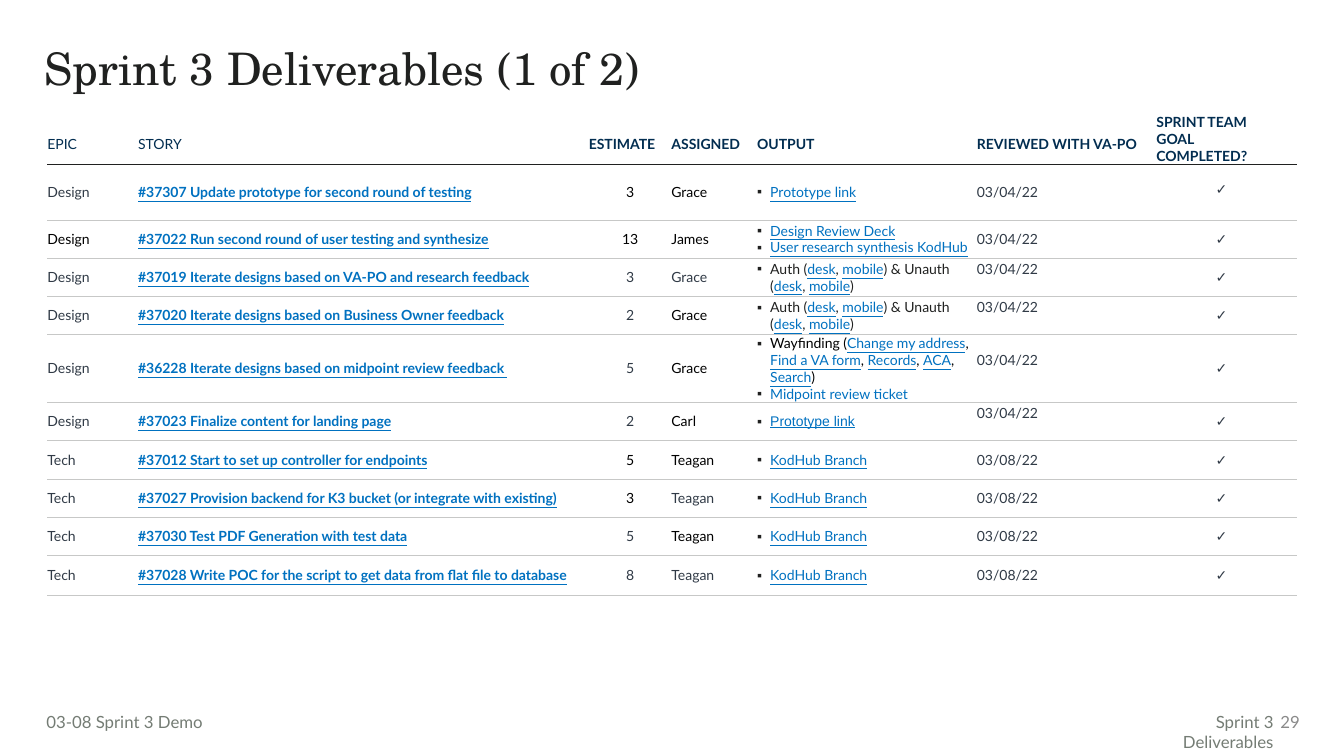
"""Build the slide that lists the sprint deliverables."""
from dataclasses import dataclass

from lxml.etree import SubElement
from pptx import Presentation
from pptx.dml.color import RGBColor
from pptx.enum.text import MSO_ANCHOR as Anchor, MSO_AUTO_SIZE as AutoSize, PP_ALIGN as Align
from pptx.oxml import parse_xml
from pptx.oxml.ns import nsdecls, qn
from pptx.util import Inches, Pt

INK = RGBColor(0x20, 0x21, 0x20)
NAVY = RGBColor(0x02, 0x2D, 0x50)
SLATE = RGBColor(0x30, 0x3A, 0x46)
BLACK = RGBColor(0x00, 0x00, 0x00)
LINK_BLUE = RGBColor(0x00, 0x71, 0xC0)
RULE_GRAY = RGBColor(0xC7, 0xC8, 0xC7)
FOOTER_GRAY = RGBColor(0x74, 0x7C, 0x74)
NUMBER_GRAY = RGBColor(0x8A, 0x8A, 0x8A)

TITLE_FONT = "TeX Gyre Schola"
BODY_FONT = "Lato"
NO_GRID_STYLE = "{2D5ABB26-0587-4C30-8999-92F81FD0307C}"

HEADERS = ["EPIC", "STORY", "ESTIMATE", "ASSIGNED", "OUTPUT", "REVIEWED WITH VA-PO",
           "SPRINT TEAM GOAL COMPLETED?"]
COLUMN_WIDTHS = [0.9, 4.47, 0.82, 0.85, 2.18, 1.68, 1.49]
HEADER_HEIGHT = 0.49
DESIGN_LINKS = "Auth ([desk], [mobile]) & Unauth ([desk], [mobile])"
WAYFINDING_LINKS = "Wayfinding ([Change my address], [Find a VA form], [Records], [ACA], [Search])"


@dataclass
class Story:
    """One table row; square brackets in outputs mark links."""
    epic: str
    title: str
    estimate: str
    assigned: str
    outputs: list
    reviewed: str
    black: tuple = ()
    height: float = 0.38
    date_lift: float = 0
    tick_lift: float = 0
    output_font: str = BODY_FONT


STORIES = [
    Story("Design", "#37307 Update prototype for second round of testing", "3", "Grace",
          ["[Prototype link]"], "03/04/22", ("estimate", "assigned"), height=0.55, tick_lift=0.06),
    Story("Design", "#37022 Run second round of user testing and synthesize", "13", "James",
          ["[Design Review Deck]", "[User research synthesis KodHub]"], "03/04/22",
          ("epic", "estimate", "assigned")),
    Story("Design", "#37019 Iterate designs based on VA-PO and research feedback", "3", "Grace",
          [DESIGN_LINKS], "03/04/22", date_lift=0.17),
    Story("Design", "#37020 Iterate designs based on Business Owner feedback", "2", "Grace",
          [DESIGN_LINKS], "03/04/22", ("assigned",), date_lift=0.17),
    Story("Design", "#36228 Iterate designs based on midpoint review feedback ", "5", "Grace",
          [WAYFINDING_LINKS, "[Midpoint review ticket]"], "03/04/22", ("assigned", "output"),
          height=0.67, date_lift=0.17),
    Story("Design", "#37023 Finalize content for landing page", "2", "Carl",
          ["[Prototype link]"], "03/04/22", ("assigned",), date_lift=0.17, output_font="Arial"),
    Story("Tech", "#37012 Start to set up controller for endpoints", "5", "Teagan",
          ["[KodHub Branch]"], "03/08/22", ("estimate", "assigned")),
    Story("Tech", "#37027 Provision backend for K3 bucket (or integrate with existing)", "3",
          "Teagan", ["[KodHub Branch]"], "03/08/22", ("estimate",)),
    Story("Tech", "#37030 Test PDF Generation with test data", "5", "Teagan",
          ["[KodHub Branch]"], "03/08/22", ("assigned",)),
    Story("Tech", "#37028 Write POC for the script to get data from flat file to database", "8",
          "Teagan", ["[KodHub Branch]"], "03/08/22", height=0.4),
]


def format_run(run, color, size=10, bold=False, underline=False, font=BODY_FONT):
    """Set the font of one run."""
    run.font.name = font
    run.font.size = Pt(size)
    run.font.bold = bold
    run.font.underline = underline
    run.font.color.rgb = color


def set_margins(target, left=0, top=0, right=0, bottom=0):
    """Set the inner margins of a cell or text frame in inches."""
    target.margin_left, target.margin_top = Inches(left), Inches(top)
    target.margin_right, target.margin_bottom = Inches(right), Inches(bottom)


def add_title(slide, text):
    """Fill and place the title placeholder."""
    title = slide.shapes.title
    title.left, title.top = Inches(0.34), Inches(0.41)
    title.width, title.height = Inches(12.42), Inches(0.82)
    frame = title.text_frame
    frame.text = text
    frame.auto_size = AutoSize.NONE
    frame.vertical_anchor = Anchor.TOP
    paragraph = frame.paragraphs[0]
    paragraph.alignment = Align.LEFT
    paragraph.line_spacing = 0.9
    format_run(paragraph.runs[0], INK, size=32, font=TITLE_FONT)


def add_footer(slide, text, left, top, width, height, color=FOOTER_GRAY,
               align=Align.RIGHT, anchor=Anchor.TOP, inset=0.1):
    """Add one text box of the footer."""
    box = slide.shapes.add_textbox(Inches(left), Inches(top), Inches(width), Inches(height))
    frame = box.text_frame
    frame.word_wrap = True
    frame.vertical_anchor = anchor
    set_margins(frame, inset, 0.05, 0.1, 0.05)
    frame.text = text
    frame.paragraphs[0].alignment = align
    format_run(frame.paragraphs[0].runs[0], color, size=12)


def add_rule(cell, side, color, width):
    """Draw one horizontal border of a cell."""
    rule = parse_xml(
        f'<a:{side} {nsdecls("a")} w="{Pt(width)}"><a:solidFill><a:srgbClr val="{color}"/>'
        f'</a:solidFill></a:{side}>')
    cell._tc.get_or_add_tcPr().insert(0, rule)


def fill_cell(cell, text, color, align=Align.LEFT, **font):
    """Write one line of text in a cell."""
    cell.text = text
    paragraph = cell.text_frame.paragraphs[0]
    paragraph.alignment = align
    format_run(paragraph.runs[0], color, **font)


def add_bullet(paragraph):
    """Give a paragraph a small square bullet with a hanging indent."""
    properties = paragraph._p.get_or_add_pPr()
    properties.set("marL", str(Inches(0.13)))
    properties.set("indent", str(-Inches(0.13)))
    bullet_color = SubElement(properties, qn("a:buClr"))
    SubElement(bullet_color, qn("a:srgbClr"), val=str(INK))
    SubElement(properties, qn("a:buFont"), typeface="Arial")
    SubElement(properties, qn("a:buChar"), char="▪")


def fill_outputs(cell, outputs, color, font):
    """Write the bulleted outputs, with the bracketed parts as links."""
    frame = cell.text_frame
    for index, output in enumerate(outputs):
        paragraph = frame.add_paragraph() if index else frame.paragraphs[0]
        add_bullet(paragraph)
        for position, part in enumerate(output.replace("]", "[").split("[")):
            if part:
                is_link = position % 2 == 1
                run = paragraph.add_run()
                run.text = part
                format_run(run, LINK_BLUE if is_link else color, underline=is_link, font=font)


def fill_header(cells):
    """Write the header row."""
    for index, (cell, header) in enumerate(zip(cells, HEADERS)):
        fill_cell(cell, header, NAVY, bold=index > 1)
        set_margins(cell, top=0.1)
        add_rule(cell, "lnB", INK, 1)
    set_margins(cells[-1], left=0.1, right=0.3)
    cells[-1].vertical_anchor = Anchor.TOP


def fill_story(cells, story, is_first):
    """Write one story row."""
    for cell in cells:
        set_margins(cell)
        add_rule(cell, "lnB", RULE_GRAY, 0.5)
        if is_first:
            add_rule(cell, "lnT", INK, 1)
    epic, title, estimate, assigned, output, reviewed, completed = cells
    shades = {name: BLACK if name in story.black else SLATE
              for name in ("epic", "estimate", "assigned")}
    fill_cell(epic, story.epic, shades["epic"])
    fill_cell(title, story.title, LINK_BLUE, bold=True, underline=True)
    fill_cell(estimate, story.estimate, shades["estimate"], Align.CENTER)
    fill_cell(assigned, story.assigned, shades["assigned"])
    fill_outputs(output, story.outputs, BLACK if "output" in story.black else INK,
                 story.output_font)
    fill_cell(reviewed, story.reviewed, SLATE)
    fill_cell(completed, "✓", SLATE, Align.CENTER)
    set_margins(reviewed, bottom=story.date_lift)
    set_margins(completed, bottom=story.tick_lift)


def add_deliverables(slide):
    """Add the table of stories."""
    heights = [HEADER_HEIGHT] + [story.height for story in STORIES]
    table = slide.shapes.add_table(
        len(heights), len(HEADERS), Inches(0.47), Inches(1.13),
        Inches(sum(COLUMN_WIDTHS)), Inches(sum(heights))).table
    table._tbl.tblPr.find(qn("a:tableStyleId")).text = NO_GRID_STYLE
    table.first_row = table.horz_banding = False
    for column, width in zip(table.columns, COLUMN_WIDTHS):
        column.width = Inches(width)
    for row, height in zip(table.rows, heights):
        row.height = Inches(height)
    for cell in table.iter_cells():
        cell.fill.background()
        cell.vertical_anchor = Anchor.MIDDLE
    header, *rows = [list(row.cells) for row in table.rows]
    fill_header(header)
    for index, (cells, story) in enumerate(zip(rows, STORIES)):
        fill_story(cells, story, is_first=index == 0)


def main():
    """Build and save the presentation."""
    presentation = Presentation()
    presentation.slide_width, presentation.slide_height = Inches(13.33), Inches(7.5)
    slide = presentation.slides.add_slide(presentation.slide_layouts[5])
    add_title(slide, "Sprint 3 Deliverables (1 of 2)")
    add_footer(slide, "29", 12.55, 6.96, 0.44, 0.4, NUMBER_GRAY, anchor=Anchor.MIDDLE)
    add_deliverables(slide)
    add_footer(slide, "Sprint 3 Deliverables", 11.09, 7.01, 1.64, 0.3)
    add_footer(slide, "03-08 Sprint 3 Demo", 0.46, 7.01, 2.98, 0.3, align=Align.LEFT, inset=0)
    presentation.save("out.pptx")


if __name__ == "__main__":
    main()
